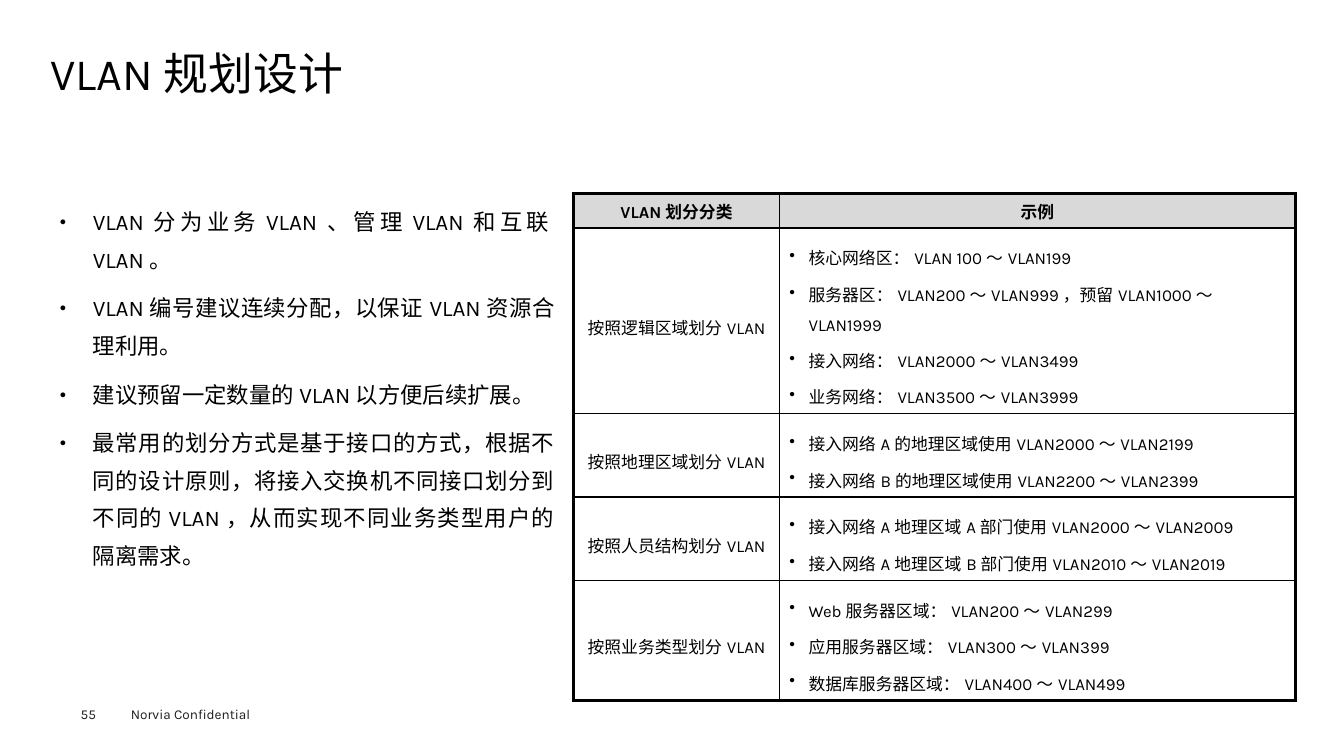
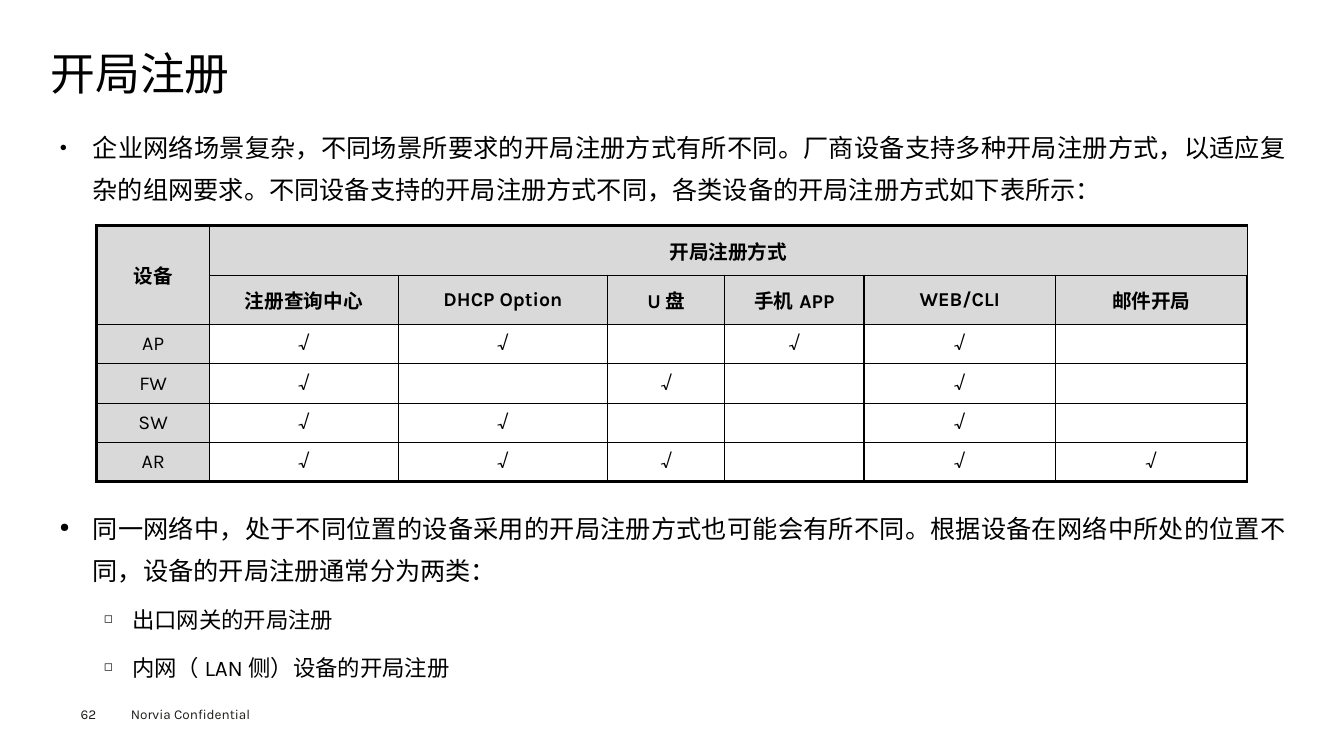
from dataclasses import dataclass

from lxml.etree import SubElement
from pptx import Presentation
from pptx.dml.color import RGBColor
from pptx.enum.text import MSO_ANCHOR as Anchor, MSO_AUTO_SIZE as AutoSize, PP_ALIGN as Align
from pptx.oxml.ns import qn
from pptx.util import Emu, Pt

PX = 9144


@dataclass(frozen=True)
class Theme:
    """Colours, font, type sizes and line widths of the deck."""
    font: str = "Karla"
    ink: str = "000000"
    footer_ink: str = "1D1D1B"
    shade: str = "D9D9D9"
    paper: str = "FFFFFF"
    title: float = 32
    lead: float = 18
    body: float = 16
    grid: float = 14
    note: float = 12
    footer: float = 9.7
    outer: float = 2.25
    inner: float = 1


THEME = Theme()
BULLETS = (
    {"mark": "●", "scale": 50, "left": 33, "hang": 33},
    {"mark": "◻", "scale": 50, "left": 72, "hang": 28},
)
CELL_BULLET = {"mark": "•", "scale": 100, "left": 19, "hang": 19}
LEVEL_FORMATS = (
    {"line_spacing": 1.4, "alignment": Align.JUSTIFY, "space_before": Pt(7.9)},
    {"line_spacing": 1.4, "alignment": Align.LEFT, "space_before": Pt(7.2)},
)
INSETS = {"margin_left": 9, "margin_top": 4, "margin_right": 9, "margin_bottom": 4}
NO_INSETS = dict.fromkeys(INSETS, 0)
WIDE = 1235


def px(length):
    """Turn px into EMU."""
    return Emu(length * PX)


def apply(target, formats):
    """Set attributes from a dict of format values."""
    for name, value in formats.items():
        setattr(target, name, value)


def place(shape, box):
    """Move and size a shape to a px box."""
    apply(shape, dict(zip(("left", "top", "width", "height"), map(px, box))))


def set_frame(frame, insets, anchor=Anchor.TOP):
    """Give a text frame its insets, anchor and wrapping."""
    apply(frame, {name: px(value) for name, value in insets.items()})
    apply(frame, {"word_wrap": True, "auto_size": AutoSize.NONE, "vertical_anchor": anchor})


def add_span(para, text, size, bold=False, color=THEME.ink, asian=True):
    """Add a run in the theme font, optionally for East Asian text too."""
    span = para.add_run()
    span.text = text
    apply(span.font, {"name": THEME.font, "size": Pt(size), "bold": bold})
    span.font.color.rgb = RGBColor.from_string(color)
    if asian:
        latin = span.font._element.find(qn("a:latin"))
        latin.addnext(latin.makeelement(qn("a:ea"), {"typeface": THEME.font}))


def add_bullet(para, bullet):
    """Give a paragraph a hanging bullet."""
    props = para._p.get_or_add_pPr()
    props.set("marL", str(px(bullet["left"])))
    props.set("indent", str(-px(bullet["hang"])))
    SubElement(props, qn("a:buSzPct"), val=str(bullet["scale"] * 1000))
    SubElement(props, qn("a:buChar"), char=bullet["mark"])


def add_paragraphs(frame, count):
    """Return count paragraphs, starting with the existing one."""
    return [frame.paragraphs[0], *(frame.add_paragraph() for _ in range(count - 1))]


def fill_list(shape, box, items):
    """Place a bulleted list of (level, size, text) items in a box."""
    place(shape, box)
    set_frame(shape.text_frame, INSETS)
    paras = add_paragraphs(shape.text_frame, len(items))
    for order, (para, (level, size, text)) in enumerate(zip(paras, items)):
        add_bullet(para, BULLETS[level])
        apply(para, {**LEVEL_FORMATS[level], "level": level})
        if order == 0:
            para.space_before = Pt(0)
        add_span(para, text, size)


def add_footer(page, number):
    """Add the page number and the confidentiality note."""
    parts = ((number, (80, 700, 55, 16), NO_INSETS),
             ("Norvia Confidential", (120, 695, 160, 27), {"margin_left": 10, "margin_top": 5}))
    for text, box, insets in parts:
        shape = page.shapes.add_textbox(*map(px, box))
        set_frame(shape.text_frame, insets)
        add_span(shape.text_frame.paragraphs[0], text, THEME.footer, color=THEME.footer_ink)


def add_page(deck, title, number):
    """Add a page with its title and footer."""
    page = deck.slides.add_slide(deck.slide_layouts[1])
    heading = page.shapes.title
    place(heading, (50, 49, WIDE, 53))
    set_frame(heading.text_frame, NO_INSETS, Anchor.MIDDLE)
    para = heading.text_frame.paragraphs[0]
    apply(para, {"alignment": Align.LEFT, "line_spacing": 0.9})
    add_span(para, title, THEME.title)
    add_footer(page, number)
    return page


def set_borders(cell, heavy):
    """Draw the four cell borders, thicker on the heavy sides."""
    props = cell._tc.get_or_add_tcPr()
    for side in "LRTB":
        width = THEME.outer if side in heavy else THEME.inner
        line = SubElement(props, qn(f"a:ln{side}"), w=str(Pt(width)))
        SubElement(SubElement(line, qn("a:solidFill")), qn("a:srgbClr"), val=THEME.ink)


def fill_cell(cell, content, size, bold):
    """Write centred text, or a bulleted list when content is a tuple."""
    cell.vertical_anchor = Anchor.MIDDLE
    listed = isinstance(content, tuple)
    lines = content if listed else (content,)
    for para, text in zip(add_paragraphs(cell.text_frame, len(lines)), lines):
        if listed:
            add_bullet(para, CELL_BULLET)
        para.alignment = Align.LEFT if listed else Align.CENTER
        if size == THEME.note and not bold:
            para.line_spacing = 1.5
        if text:
            add_span(para, text, size, bold, asian=False)
        else:
            SubElement(para._p, qn("a:endParaRPr"), sz=str(size * 100))


def add_grid(page, corner, widths, heights, rows, size, heads=1, shade_first=False):
    """Add a table with a heavy frame and shaded heads."""
    box = (*corner, sum(widths), sum(heights))
    table = page.shapes.add_table(len(heights), len(widths), *map(px, box)).table
    apply(table, {"first_row": False, "horz_banding": False})
    for column, width in zip(table.columns, widths):
        column.width = px(width)
    for row, height in zip(table.rows, heights):
        row.height = px(height)
    for i, contents in enumerate(rows):
        for j, content in enumerate(contents):
            cell = table.cell(i, j)
            edges = {"L": j == 0, "R": j == len(widths) - 1, "T": i == 0, "B": i == len(rows) - 1}
            set_borders(cell, [side for side, edge in edges.items() if edge])
            shaded = i < heads or (shade_first and j == 0)
            cell.fill.solid()
            cell.fill.fore_color.rgb = RGBColor.from_string(THEME.shade if shaded else THEME.paper)
            fill_cell(cell, content, size, i < heads)
    return table


def build_vlan_page(deck):
    """Build the VLAN planning page."""
    page = add_page(deck, "VLAN规划设计", "55")
    points = (
        "VLAN分为业务VLAN、管理VLAN和互联VLAN。",
        "VLAN编号建议连续分配，以保证VLAN资源合理利用。",
        "建议预留一定数量的VLAN以方便后续扩展。",
        "最常用的划分方式是基于接口的方式，根据不同的设计原则，将接入交换机不同接口划分到"
        "不同的VLAN，从而实现不同业务类型用户的隔离需求。",
    )
    fill_list(page.placeholders[1], (50, 192, 509, 400),
              [(0, THEME.body, text) for text in points])
    rows = (
        ("VLAN划分分类", "示例"),
        ("按照逻辑区域划分VLAN", (
            "核心网络区：VLAN 100～VLAN199",
            "服务器区：VLAN200～VLAN999，预留VLAN1000～VLAN1999",
            "接入网络：VLAN2000～VLAN3499",
            "业务网络：VLAN3500～VLAN3999")),
        ("按照地理区域划分VLAN", (
            "接入网络A的地理区域使用VLAN2000～VLAN2199",
            "接入网络B的地理区域使用VLAN2200～VLAN2399")),
        ("按照人员结构划分VLAN", (
            "接入网络A地理区域A部门使用VLAN2000～VLAN2009",
            "接入网络A地理区域B部门使用VLAN2010～VLAN2019")),
        ("按照业务类型划分VLAN", (
            "Web服务器区域：VLAN200～VLAN299",
            "应用服务器区域：VLAN300～VLAN399",
            "数据库服务器区域：VLAN400～VLAN499")),
    )
    add_grid(page, (569, 192), (204, 512), (34, 184, 82, 82, 119), rows, THEME.note)


def build_registration_page(deck):
    """Build the device registration page."""
    page = add_page(deck, "开局注册", "62")
    fill_list(page.placeholders[1], (50, 115, WIDE, 97), [
        (0, THEME.lead, "企业网络场景复杂，不同场景所要求的开局注册方式有所不同。厂商设备支持多种开局注册方式，"
                        "以适应复杂的组网要求。不同设备支持的开局注册方式不同，各类设备的开局注册方式如下表所示："),
    ])
    methods = ("注册查询中心", "DHCP Option", "U盘", "手机APP", "WEB/CLI", "邮件开局")
    support = {"AP": (0, 1, 3, 4), "FW": (0, 2, 4), "SW": (0, 1, 4), "AR": (0, 1, 2, 4, 5)}
    rows = [("设备", "开局注册方式", *[""] * (len(methods) - 1)), ("", *methods)]
    for device, marked in support.items():
        rows.append((device, *("√" if k in marked else "" for k in range(len(methods)))))
    table = add_grid(page, (96, 224), (112, 187, 208, 116, 138, 190, 190),
                     (49, 49, 39, 39, 39, 39), rows, THEME.grid, heads=2, shade_first=True)
    table.cell(0, 0).merge(table.cell(1, 0))
    table.cell(0, 1).merge(table.cell(0, len(methods)))
    fill_list(page.shapes.add_textbox(0, 0, 0, 0), (50, 493, WIDE, 185), [
        (0, THEME.lead, "同一网络中，处于不同位置的设备采用的开局注册方式也可能会有所不同。"
                        "根据设备在网络中所处的位置不同，设备的开局注册通常分为两类："),
        (1, THEME.body, "出口网关的开局注册"),
        (1, THEME.body, "内网（LAN侧）设备的开局注册"),
    ])


def main():
    """Build and save the deck."""
    deck = Presentation()
    apply(deck, {"slide_width": px(1333), "slide_height": px(750)})
    build_vlan_page(deck)
    build_registration_page(deck)
    deck.save("out.pptx")


if __name__ == "__main__":
    main()
